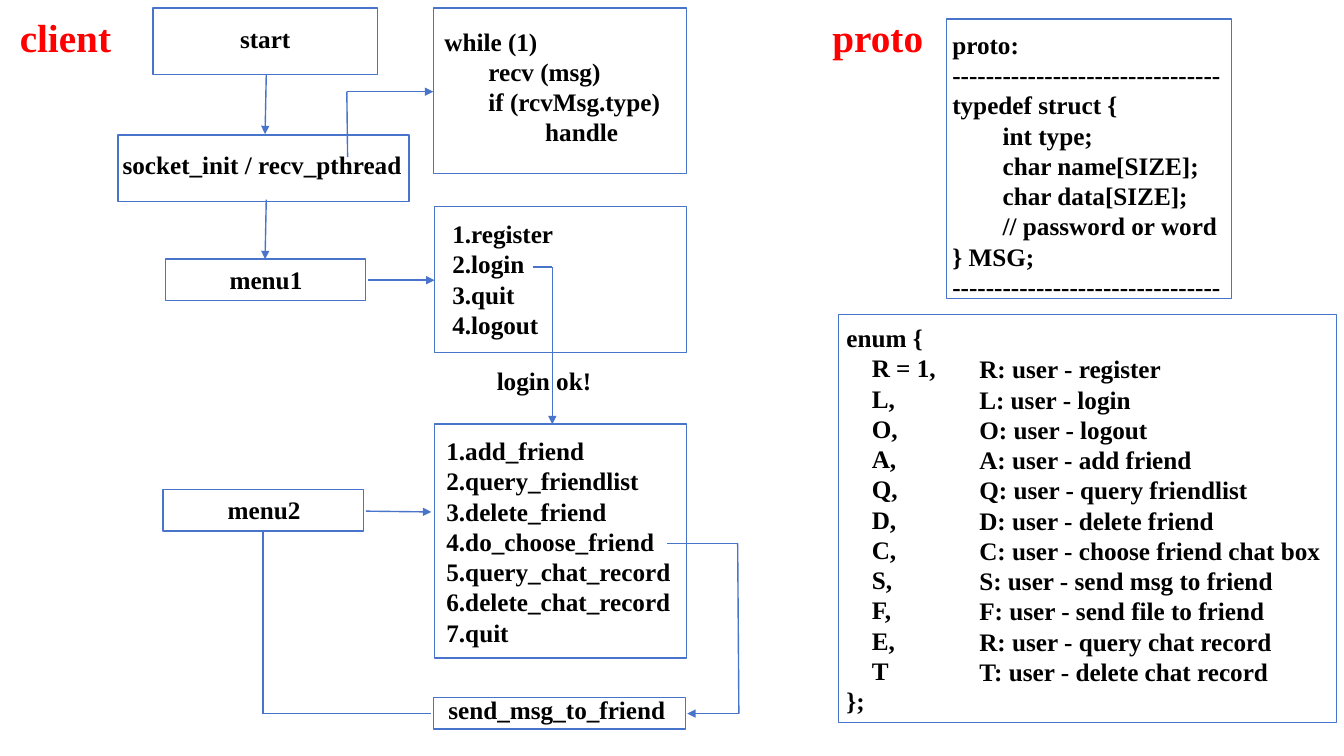
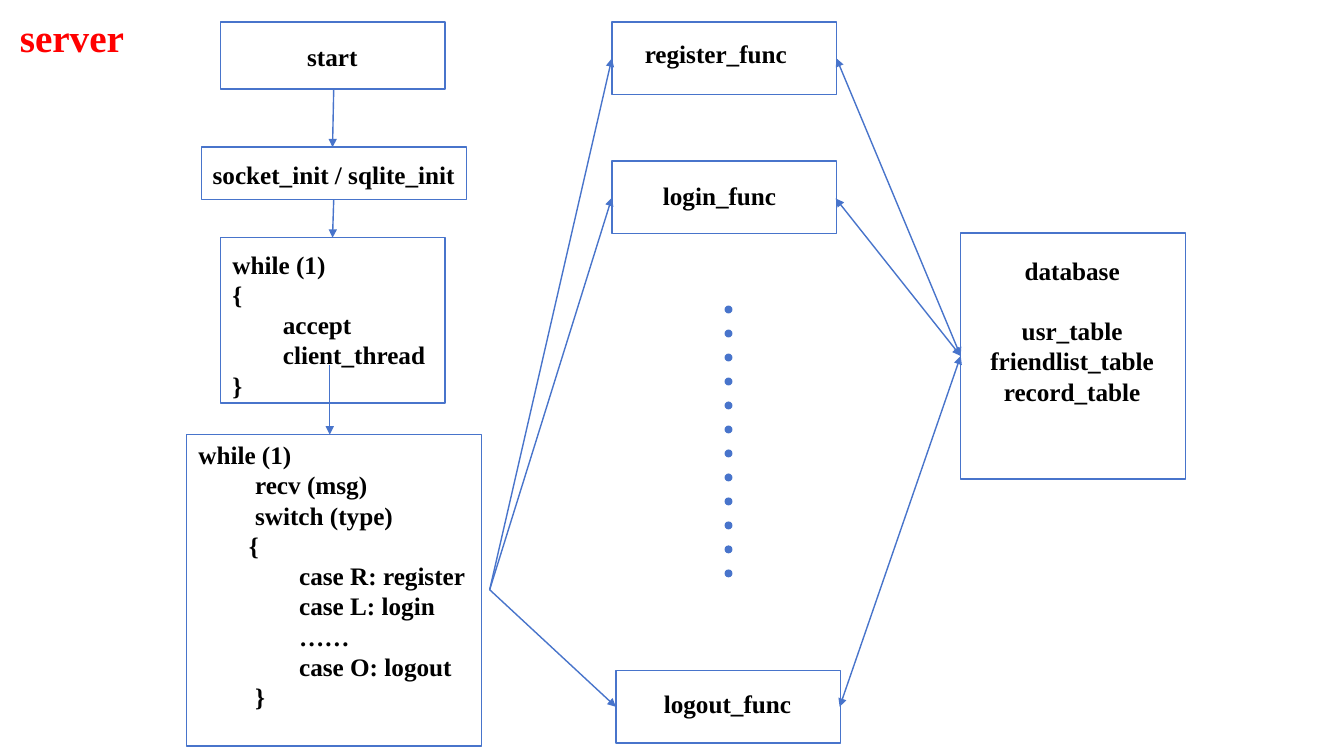
from dataclasses import dataclass

from lxml import etree
from pptx import Presentation
from pptx import util as u
from pptx.dml import color as dml
from pptx.enum import shapes, text
from pptx.oxml import ns

BLUE = "4874CB"
BLACK = "000000"
RED = "FF0000"
FONT = "Times New Roman"
BODY_SIZE = 18
TITLE_SIZE = 28
LINE_WIDTH = 1
LEFT = text.PP_ALIGN.LEFT
CENTER = text.PP_ALIGN.CENTER


@dataclass(frozen=True)
class Box:
    left: float
    top: float
    width: float
    height: float


@dataclass(frozen=True)
class Line:
    words: str
    indent: float = 0
    space_before: float = 0


@dataclass(frozen=True)
class Label:
    box: Box
    lines: tuple[Line, ...]
    align: text.PP_ALIGN = LEFT
    size: int = BODY_SIZE
    color: str = BLACK


@dataclass(frozen=True)
class Route:
    points: tuple[tuple[float, float], ...]
    head: bool = False
    tail: bool = True


@dataclass(frozen=True)
class Page:
    boxes: tuple[Box, ...]
    labels: tuple[Label, ...]
    routes: tuple[Route, ...]
    dots: tuple[Box, ...] = ()


def rgb(value: str) -> dml.RGBColor:
    return dml.RGBColor.from_string(value)


def lines(*words: str, indent: float = 0) -> tuple[Line, ...]:
    return tuple(Line(item, indent) for item in words)


def title(left: float, words: str) -> Label:
    return Label(Box(left, 0.2, 3.91, 1.45), lines(words), LEFT, TITLE_SIZE, RED)


def place(box: Box) -> tuple[u.Cm, ...]:
    return u.Cm(box.left), u.Cm(box.top), u.Cm(box.width), u.Cm(box.height)


def draw_box(slide, box: Box) -> None:
    shape = slide.shapes.add_shape(shapes.MSO_SHAPE.RECTANGLE, *place(box))
    shape.shadow.inherit = False
    shape.fill.background()
    shape.line.color.rgb = rgb(BLUE)
    shape.line.width = u.Pt(LINE_WIDTH)


def draw_dot(slide, box: Box) -> None:
    shape = slide.shapes.add_shape(shapes.MSO_SHAPE.OVAL, *place(box))
    shape.shadow.inherit = False
    shape.fill.solid()
    shape.fill.fore_color.rgb = rgb(BLUE)
    shape.line.fill.background()


def draw_label(slide, label: Label) -> None:
    frame = slide.shapes.add_textbox(*place(label.box)).text_frame
    frame.word_wrap = True
    for index, line in enumerate(label.lines):
        paragraph = frame.add_paragraph() if index else frame.paragraphs[0]
        paragraph.alignment = label.align
        if line.space_before:
            paragraph.space_before = u.Pt(line.space_before)
        if line.indent:
            paragraph._p.get_or_add_pPr().set("marL", str(int(u.Cm(line.indent))))
        run = paragraph.add_run()
        run.text = line.words
        run.font.name = FONT
        run.font.size = u.Pt(label.size)
        run.font.bold = True
        run.font.color.rgb = rgb(label.color)


def draw_route(slide, route: Route) -> None:
    last = len(route.points) - 2
    for index, (start, end) in enumerate(zip(route.points, route.points[1:])):
        connector = slide.shapes.add_connector(
            shapes.MSO_CONNECTOR.STRAIGHT, *(u.Cm(value) for value in start + end)
        )
        connector.line.color.rgb = rgb(BLUE)
        connector.line.width = u.Pt(LINE_WIDTH)
        outline = connector.line._get_or_add_ln()
        if route.head and index == 0:
            etree.SubElement(outline, ns.qn("a:headEnd"), type="triangle")
        if route.tail and index == last:
            etree.SubElement(outline, ns.qn("a:tailEnd"), type="triangle")
        etree.SubElement(connector._element.spPr, ns.qn("a:effectLst"))


def draw_page(presentation, page: Page) -> None:
    slide = presentation.slides.add_slide(presentation.slide_layouts[6])
    for box in page.boxes:
        draw_box(slide, box)
    for dot in page.dots:
        draw_dot(slide, dot)
    for label in page.labels:
        draw_label(slide, label)
    for route in page.routes:
        draw_route(slide, route)


RULE = "-" * 32

CLIENT = Page(
    boxes=(
        Box(3.86, 0.2, 5.66, 1.68),
        Box(2.97, 3.4, 7.34, 1.68),
        Box(4.17, 6.53, 5.05, 1.04),
        Box(4.11, 12.34, 5.05, 1.04),
        Box(10.92, 0.2, 6.38, 4.17),
        Box(10.95, 5.21, 6.35, 3.68),
        Box(10.95, 10.69, 6.35, 5.89),
        Box(10.92, 17.58, 6.35, 0.79),
        Box(23.85, 0.48, 7.19, 7.04),
        Box(21.13, 7.92, 12.55, 10.29),
    ),
    labels=(
        title(0.25, "client"),
        title(20.73, "proto"),
        Label(Box(5.8, 0.46, 2.13, 1.17), lines("start")),
        Label(Box(2.84, 3.63, 7.65, 1.17), lines("socket_init / recv_pthread")),
        Label(Box(4.19, 6.53, 5.03, 0.99), lines("menu1"), CENTER),
        Label(Box(4.14, 12.34, 5.03, 0.99), lines("menu2"), CENTER),
        Label(
            Box(10.95, 0.53, 6.3, 3.66),
            lines("while (1)")
            + lines("recv (msg)", "if (rcvMsg.type)", indent=1.11)
            + lines("handle", indent=2.54),
        ),
        Label(
            Box(11.15, 5.38, 3.4, 3.07),
            lines("1.register", "2.login", "3.quit", "4.logout"),
        ),
        Label(Box(12.27, 9.09, 3.94, 1.02), lines("login ok!")),
        Label(
            Box(11, 10.85, 6.3, 6.43),
            lines(
                "1.add_friend",
                "2.query_friendlist",
                "3.delete_friend",
                "4.do_choose_friend",
                "5.query_chat_record",
                "6.delete_chat_record",
                "7.quit",
            ),
        ),
        Label(Box(11.05, 17.37, 6.17, 0.99), lines("send_msg_to_friend")),
        Label(
            Box(23.75, 0.61, 7.4, 7.39),
            lines("proto:", RULE, "typedef struct {")
            + lines(
                "int type;",
                "char name[SIZE];",
                "char data[SIZE];",
                "// password or word",
                indent=1.27,
            )
            + lines("} MSG;", RULE),
        ),
        Label(
            Box(21.08, 8, 12.6, 10.26),
            lines("enum {")
            + lines("R = 1,", *(f"{key}," for key in "LOAQDCSFE"), "T", indent=0.64)
            + lines("};"),
        ),
        Label(
            Box(24.43, 8.79, 9.17, 8.71),
            lines(
                "R: user - register",
                "L: user - login",
                "O: user - logout",
                "A: user - add friend",
                "Q: user - query friendlist",
                "D: user - delete friend",
                "C: user - choose friend chat box",
                "S: user - send msg to friend",
                "F: user - send file to friend",
                "R: user - query chat record",
                "T: user - delete chat record",
            ),
        ),
    ),
    routes=(
        Route(((6.71, 1.88), (6.68, 3.38))),
        Route(((6.71, 5.03), (6.68, 6.53))),
        Route(((8.76, 3.96), (8.74, 2.31), (10.92, 2.31))),
        Route(((9.27, 7.06), (10.95, 7.06))),
        Route(((13.44, 6.73), (13.92, 6.73), (13.92, 10.69))),
        Route(((9.22, 12.88), (10.87, 12.9))),
        Route(((16.81, 13.69), (18.59, 13.69), (18.62, 17.98), (17.32, 17.98))),
        Route(((6.63, 13.39), (6.63, 17.98), (10.87, 17.98)), tail=False),
    ),
)

THREAD_EXIT = (12.34, 14.86)
DATABASE_PORT = (24.21, 8.97)
FUNCTION_ENTRIES = ((15.42, 1.47), (15.42, 4.98), (15.52, 17.81))
FUNCTION_EXITS = ((21.08, 1.47), (21.06, 5), (21.16, 17.81))
DOT_COUNT = 12
FIRST_DOT, LAST_DOT = 7.7, 14.35
DOT_STEP = (LAST_DOT - FIRST_DOT) / (DOT_COUNT - 1)

SERVER = Page(
    boxes=(
        Box(5.56, 0.56, 5.66, 1.68),
        Box(5.08, 3.71, 6.68, 1.32),
        Box(5.56, 5.99, 5.66, 4.17),
        Box(4.7, 10.95, 7.44, 7.85),
        Box(15.42, 0.56, 5.66, 1.83),
        Box(15.42, 4.06, 5.66, 1.83),
        Box(15.52, 16.89, 5.66, 1.83),
        Box(24.21, 5.87, 5.66, 6.2),
    ),
    labels=(
        title(0.25, "server"),
        Label(Box(7.49, 0.91, 2.13, 1.17), lines("start")),
        Label(Box(5.11, 3.89, 6.75, 0.89), lines("socket_init / sqlite_init")),
        Label(
            Box(5.61, 6.15, 5.92, 4.01),
            lines("while (1)", "{")
            + lines("accept", "client_thread", indent=1.27)
            + lines("}"),
        ),
        Label(
            Box(4.75, 10.95, 7.59, 7.77),
            lines("while (1)")
            + lines("recv (msg)", "switch (type)", indent=1.43)
            + lines("{", indent=1.27)
            + lines(
                "case R: register",
                "case L: login",
                "……",
                "case O: logout",
                indent=2.54,
            )
            + lines("}", indent=1.43),
        ),
        Label(Box(16, 0.84, 4.32, 1.17), lines("register_func")),
        Label(Box(16.18, 4.42, 3.91, 1.17), lines("login_func"), CENTER),
        Label(Box(16.28, 17.22, 4.11, 1.17), lines("logout_func"), CENTER),
        Label(
            Box(24.38, 6.32, 5.28, 5.11),
            (Line("database"), Line("usr_table", space_before=21))
            + lines("friendlist_table", "record_table"),
            CENTER,
        ),
    ),
    routes=(
        Route(((8.41, 2.24), (8.38, 3.71))),
        Route(((8.41, 5.03), (8.38, 5.99))),
        Route(((8.31, 9.19), (8.31, 10.95))),
        *(Route((THREAD_EXIT, entry)) for entry in FUNCTION_ENTRIES),
        *(Route((port, DATABASE_PORT), head=True) for port in FUNCTION_EXITS),
    ),
    dots=tuple(
        Box(18.26, FIRST_DOT + index * DOT_STEP, 0.2, 0.2) for index in range(DOT_COUNT)
    ),
)


def main() -> None:
    presentation = Presentation()
    presentation.slide_width = u.Cm(33.87)
    presentation.slide_height = u.Cm(19.05)
    for page in (CLIENT, SERVER):
        draw_page(presentation, page)
    presentation.save("out.pptx")


if __name__ == "__main__":
    main()
